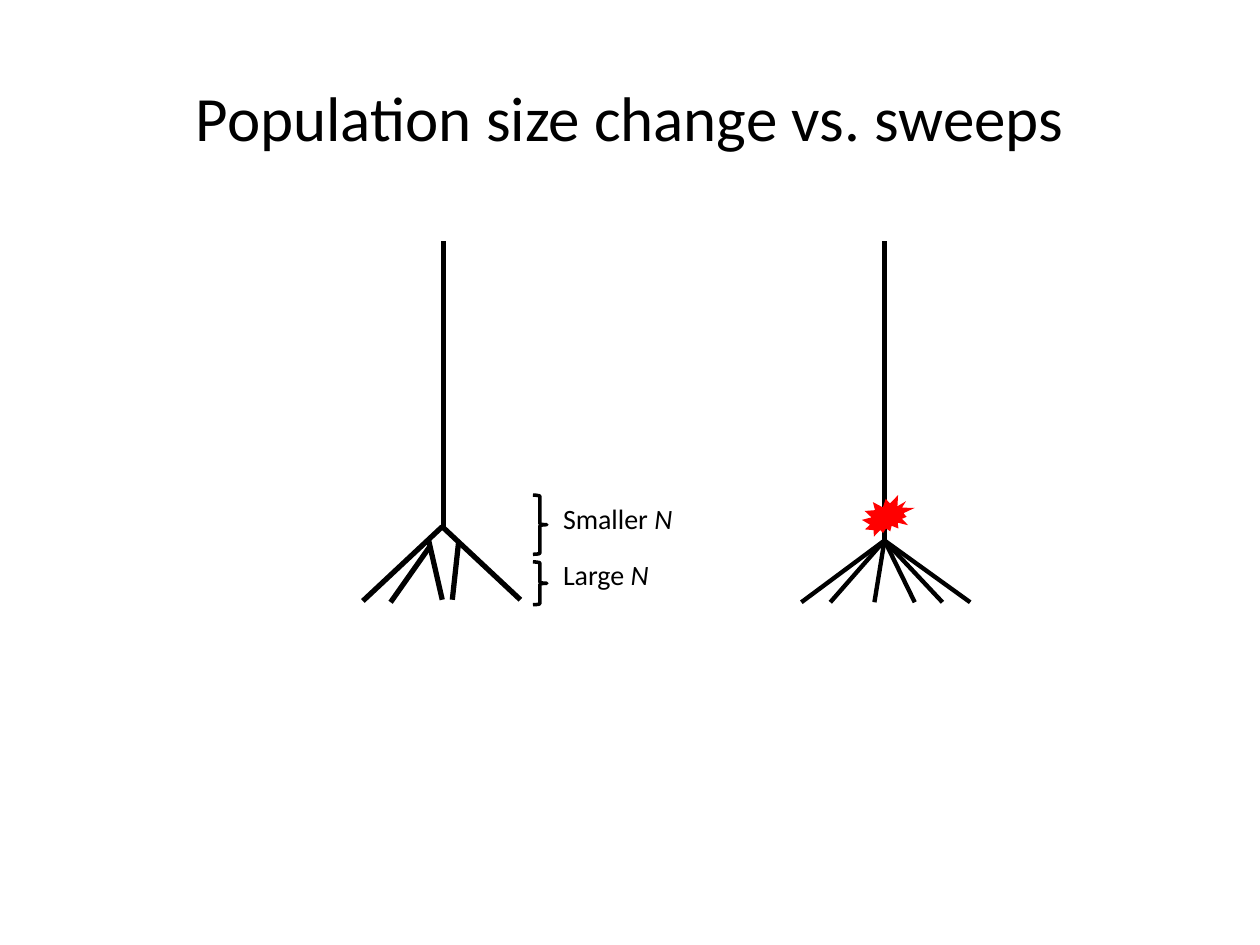
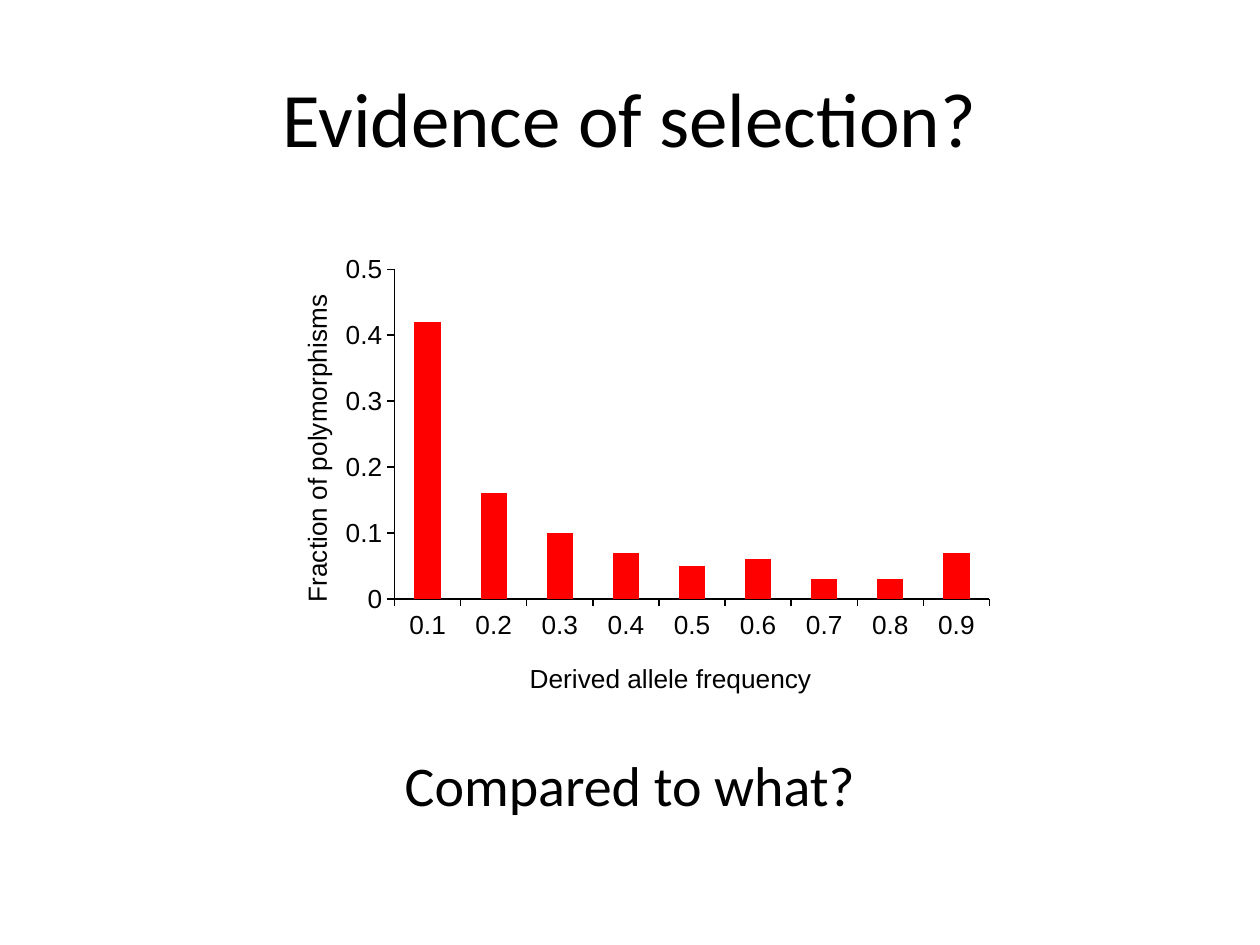
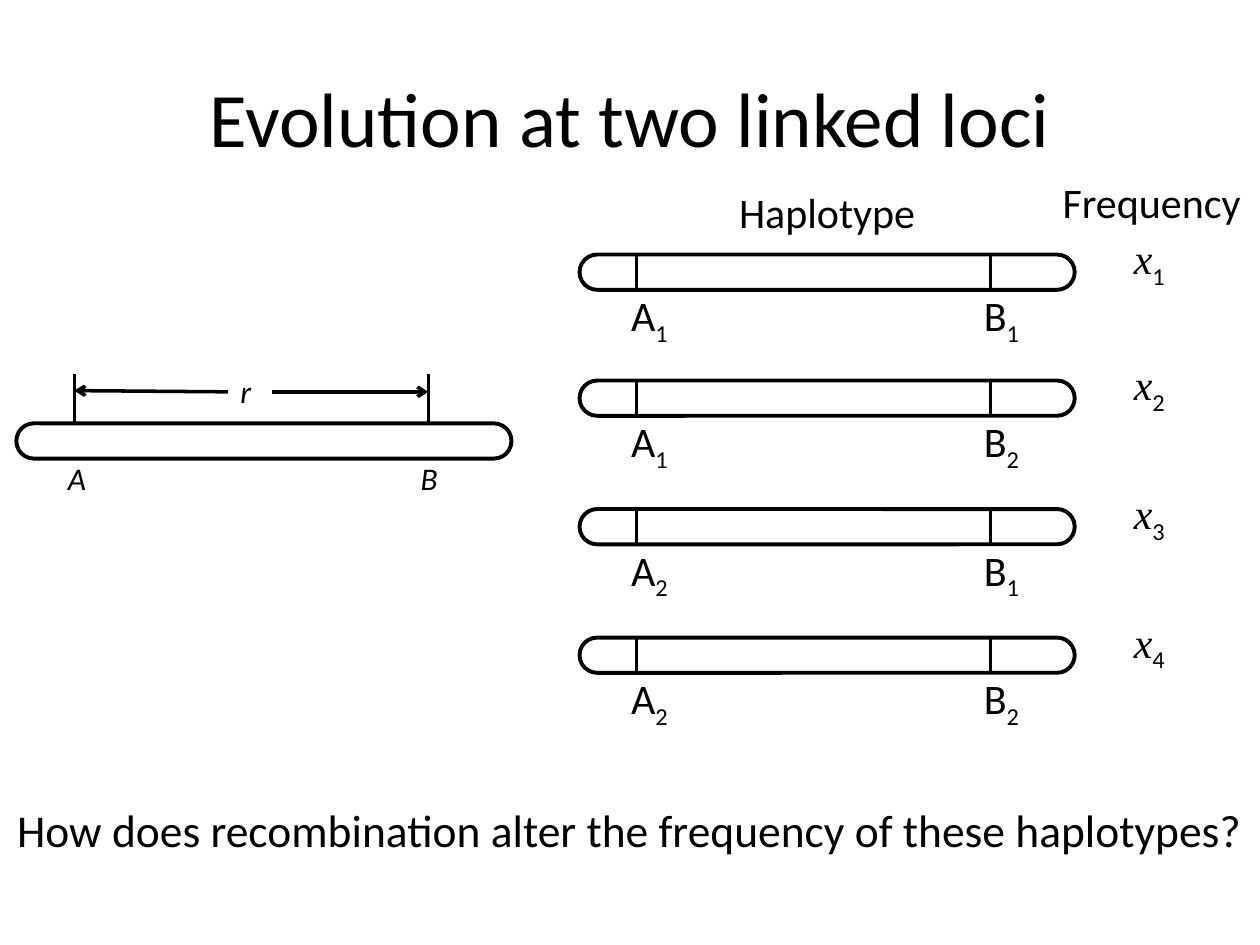
from dataclasses import dataclass

from lxml import etree
from pptx import Presentation
from pptx.chart.data import CategoryChartData
from pptx.dml.color import RGBColor
from pptx.enum.chart import XL_CHART_TYPE, XL_TICK_MARK
from pptx.enum.shapes import MSO_CONNECTOR, MSO_SHAPE
from pptx.enum.text import MSO_ANCHOR, MSO_AUTO_SIZE, PP_ALIGN
from pptx.oxml.ns import qn
from pptx.util import Inches, Pt

BLACK = RGBColor(0, 0, 0)
RED = RGBColor(255, 0, 0)
BODY_FONT = "Calibri"
SYMBOL_FONT = "Times New Roman"
CHART_FONT = "Arial"
CHART_SIZE = 15

COLUMN_CLUSTERED = XL_CHART_TYPE.COLUMN_CLUSTERED
TICK_OUTSIDE = XL_TICK_MARK.OUTSIDE
STRAIGHT = MSO_CONNECTOR.STRAIGHT
EXPLOSION = MSO_SHAPE.EXPLOSION2
RIGHT_BRACE = MSO_SHAPE.RIGHT_BRACE
ROUNDED_RECTANGLE = MSO_SHAPE.ROUNDED_RECTANGLE
MIDDLE = MSO_ANCHOR.MIDDLE
TOP = MSO_ANCHOR.TOP
CENTER = PP_ALIGN.CENTER
LEFT = PP_ALIGN.LEFT
FIT_SHAPE = MSO_AUTO_SIZE.SHAPE_TO_FIT_TEXT
NO_AUTO_SIZE = MSO_AUTO_SIZE.NONE


@dataclass(frozen=True)
class Box:
    left: float
    top: float
    width: float
    height: float

    def lengths(self):
        return [Inches(n) for n in (self.left, self.top, self.width, self.height)]


@dataclass(frozen=True)
class Piece:
    text: str
    italic: bool = False
    font: str = BODY_FONT
    subscript: bool = False


@dataclass(frozen=True)
class Branch:
    start: tuple[float, float]
    end: tuple[float, float]
    weight: float = 2
    arrow: bool = False


@dataclass(frozen=True)
class Epoch:
    name: str
    brace: Box
    label_top: float


@dataclass(frozen=True)
class Haplotype:
    top: float
    a_allele: str
    b_allele: str
    frequency: str


FULL_TITLE = Box(0, 0.3, 10, 1.25)
INSET_TITLE = Box(0.5, 0.3, 9, 1.25)

SWEEP_ROOT = (7.02, 4.29)
SWEEP_TIPS = [6.36, 6.59, 6.94, 7.26, 7.48, 7.7]
SWEEP_TREE = [Branch((7.02, 4.32), (7.02, 1.91), 2.5)] + [
    Branch(SWEEP_ROOT, (tip, 4.78), 2.5) for tip in SWEEP_TIPS
]
GROWTH_TREE = [
    Branch((3.52, 4.18), (3.52, 1.91), 2.5),
    Branch((3.51, 4.18), (2.88, 4.77), 3),
    Branch((3.4, 4.28), (3.51, 4.76), 3),
    Branch((3.51, 4.18), (4.13, 4.76), 3),
    Branch((3.41, 4.34), (3.1, 4.78), 3),
    Branch((3.64, 4.3), (3.59, 4.76), 3),
]
EPOCHS = [
    Epoch("Large ", Box(4.23, 4.46, 0.11, 0.34), 4.38),
    Epoch("Smaller ", Box(4.23, 3.93, 0.11, 0.47), 3.93),
]

ALLELE_FREQUENCIES = ["0.1", "0.2", "0.3", "0.4", "0.5", "0.6", "0.7", "0.8", "0.9"]
POLYMORPHISMS = [0.42, 0.16, 0.1, 0.07, 0.05, 0.06, 0.03, 0.03, 0.07]

HAPLOTYPES = [
    Haplotype(2.02, "1", "1", "1"),
    Haplotype(3.02, "1", "2", "2"),
    Haplotype(4.04, "2", "1", "3"),
    Haplotype(5.06, "2", "2", "4"),
]
CHROMOSOME_WIDTH = 3.93
CHROMOSOME_HEIGHT = 0.28
RECOMBINATION = [
    Branch((0.59, 2.97), (0.59, 3.36)),
    Branch((3.4, 2.97), (3.4, 3.36)),
    Branch((2.16, 3.11), (3.4, 3.11), arrow=True),
    Branch((1.81, 3.11), (0.59, 3.1), arrow=True),
]


def add_text(slide, box: Box, pieces: list[Piece], size: float, align=LEFT,
             wrap: bool = True, anchor=TOP, fit=FIT_SHAPE) -> None:
    frame = slide.shapes.add_textbox(*box.lengths()).text_frame
    frame.word_wrap = wrap
    frame.auto_size = fit
    frame.vertical_anchor = anchor
    paragraph = frame.paragraphs[0]
    paragraph.alignment = align
    for piece in pieces:
        run = paragraph.add_run()
        run.text = piece.text
        run.font.name = piece.font
        run.font.size = Pt(size)
        run.font.italic = piece.italic
        run.font.color.rgb = BLACK
        if piece.subscript:
            run._r.get_or_add_rPr().set("baseline", "-25000")


def add_title(slide, text: str, size: float = 44, box: Box = FULL_TITLE) -> None:
    add_text(slide, box, [Piece(text)], size, CENTER, anchor=MIDDLE, fit=NO_AUTO_SIZE)


def add_branch(slide, branch: Branch) -> None:
    points = [Inches(n) for n in branch.start + branch.end]
    connector = slide.shapes.add_connector(STRAIGHT, *points)
    connector.line.color.rgb = BLACK
    connector.line.width = Pt(branch.weight)
    if branch.arrow:
        line = connector.line._get_or_add_ln()
        etree.SubElement(line, qn("a:tailEnd")).set("type", "arrow")
    etree.SubElement(connector._element.spPr, qn("a:effectLst"))


def add_outline(slide, kind, box: Box, weight: float):
    shape = slide.shapes.add_shape(kind, *box.lengths())
    shape.shadow.inherit = False
    shape.fill.background()
    shape.line.color.rgb = BLACK
    shape.line.width = Pt(weight)
    return shape


def add_chromosome(slide, left: float, top: float) -> None:
    box = Box(left, top, CHROMOSOME_WIDTH, CHROMOSOME_HEIGHT)
    add_outline(slide, ROUNDED_RECTANGLE, box, 2.25).adjustments[0] = 0.5


def set_layout(parent, position: int, values: dict[str, str]) -> None:
    layout = parent.find(qn("c:layout"))
    if layout is None:
        layout = etree.Element(qn("c:layout"))
        parent.insert(position, layout)
    manual = etree.SubElement(layout, qn("c:manualLayout"))
    for name, value in values.items():
        etree.SubElement(manual, qn(f"c:{name}")).set("val", value)


def style_axis(axis, title: str, x: str, y: str) -> None:
    axis.has_major_gridlines = False
    axis.major_tick_mark = TICK_OUTSIDE
    axis.format.line.color.rgb = BLACK
    axis.format.line.width = Pt(0.75)
    run = axis.axis_title.text_frame.paragraphs[0].add_run()
    run.text = title
    run.font.name = CHART_FONT
    run.font.size = Pt(CHART_SIZE)
    run.font.bold = False
    run.font.color.rgb = BLACK
    set_layout(axis.axis_title._element, 1,
               {"xMode": "edge", "yMode": "edge", "x": x, "y": y})


def add_frequency_chart(slide, box: Box) -> None:
    data = CategoryChartData()
    data.categories = ALLELE_FREQUENCIES
    data.add_series("Series 1", POLYMORPHISMS)
    chart = slide.shapes.add_chart(COLUMN_CLUSTERED, *box.lengths(), data).chart
    chart.has_legend = False
    chart.has_title = False
    chart.font.name = CHART_FONT
    chart.font.size = Pt(CHART_SIZE)
    chart.font.color.rgb = BLACK
    plot = chart.plots[0]
    plot.gap_width = 150
    plot.vary_by_categories = False
    fill = plot.series[0].format.fill
    fill.solid()
    fill.fore_color.rgb = RED
    style_axis(chart.category_axis, "Derived allele frequency", "0.36", "0.91")
    style_axis(chart.value_axis, "Fraction of polymorphisms", "0.05", "0.11")
    chart.value_axis.minimum_scale = 0
    chart.value_axis.maximum_scale = 0.5
    chart.value_axis.major_unit = 0.1
    chart.value_axis.tick_labels.number_format = "General"
    chart.value_axis.tick_labels.number_format_is_linked = False
    plot_area = chart._chartSpace.chart.plotArea
    set_layout(plot_area, 0, {
        "layoutTarget": "inner", "xMode": "edge", "yMode": "edge",
        "x": "0.184", "y": "0.06", "w": "0.803", "h": "0.722",
    })


def add_haplotype(slide, haplotype: Haplotype) -> None:
    top = haplotype.top
    add_chromosome(slide, 4.6, top)
    for locus in (5.05, 7.86):
        add_branch(slide, Branch((locus, top + 0.29), (locus, top)))
    symbols = [
        (4.91, top + 0.23, Piece("A"), haplotype.a_allele),
        (7.71, top + 0.23, Piece("B"), haplotype.b_allele),
        (8.9, top - 0.22, Piece("x", True, SYMBOL_FONT), haplotype.frequency),
    ]
    for left, label_top, symbol, index in symbols:
        add_text(slide, Box(left, label_top, 0.51, 0.5),
                 [symbol, Piece(index, subscript=True)], 24, wrap=False)


def build_sweeps_slide(slide) -> None:
    add_title(slide, "Population size change vs. sweeps", 36)
    for branch in SWEEP_TREE:
        add_branch(slide, branch)
    mutation = add_outline(slide, EXPLOSION, Box(6.84, 3.93, 0.42, 0.33), 1)
    mutation.fill.solid()
    mutation.fill.fore_color.rgb = RED
    mutation.line.fill.background()
    for branch in GROWTH_TREE:
        add_branch(slide, branch)
    for epoch in EPOCHS:
        add_outline(slide, RIGHT_BRACE, epoch.brace, 2)
        add_text(slide, Box(4.37, epoch.label_top, 1.09, 0.37),
                 [Piece(epoch.name), Piece("N", True)], 16)


def build_selection_slide(slide) -> None:
    add_title(slide, "Evidence of selection?", box=INSET_TITLE)
    add_frequency_chart(slide, Box(2.05, 1.92, 5.88, 3.65))
    add_text(slide, Box(0, 5.91, 10, 0.64), [Piece("Compared to what?")], 32, CENTER)


def build_linkage_slide(slide) -> None:
    add_title(slide, "Evolution at two linked loci")
    question = "How does recombination alter the frequency of these haplotypes?"
    add_text(slide, Box(0, 6.32, 10, 0.54), [Piece(question)], 26, CENTER)
    for text, left, top in (("A", 0.44, 3.59), ("B", 3.24, 3.59), ("r", 1.81, 2.9)):
        add_text(slide, Box(left, top, 0.4, 0.4), [Piece(text, True)], 18, wrap=False)
    add_chromosome(slide, 0.13, 3.36)
    for branch in RECOMBINATION:
        add_branch(slide, branch)
    for haplotype in HAPLOTYPES:
        add_haplotype(slide, haplotype)
    add_text(slide, Box(4.6, 1.43, 3.93, 0.5), [Piece("Haplotype")], 24, CENTER)
    add_text(slide, Box(8.33, 1.35, 1.62, 0.5), [Piece("Frequency")], 24, CENTER)


def main() -> None:
    presentation = Presentation()
    presentation.slide_width = Inches(10)
    presentation.slide_height = Inches(7.5)
    blank = presentation.slide_layouts[6]
    for build in (build_sweeps_slide, build_selection_slide, build_linkage_slide):
        build(presentation.slides.add_slide(blank))
    presentation.save("out.pptx")


if __name__ == "__main__":
    main()
